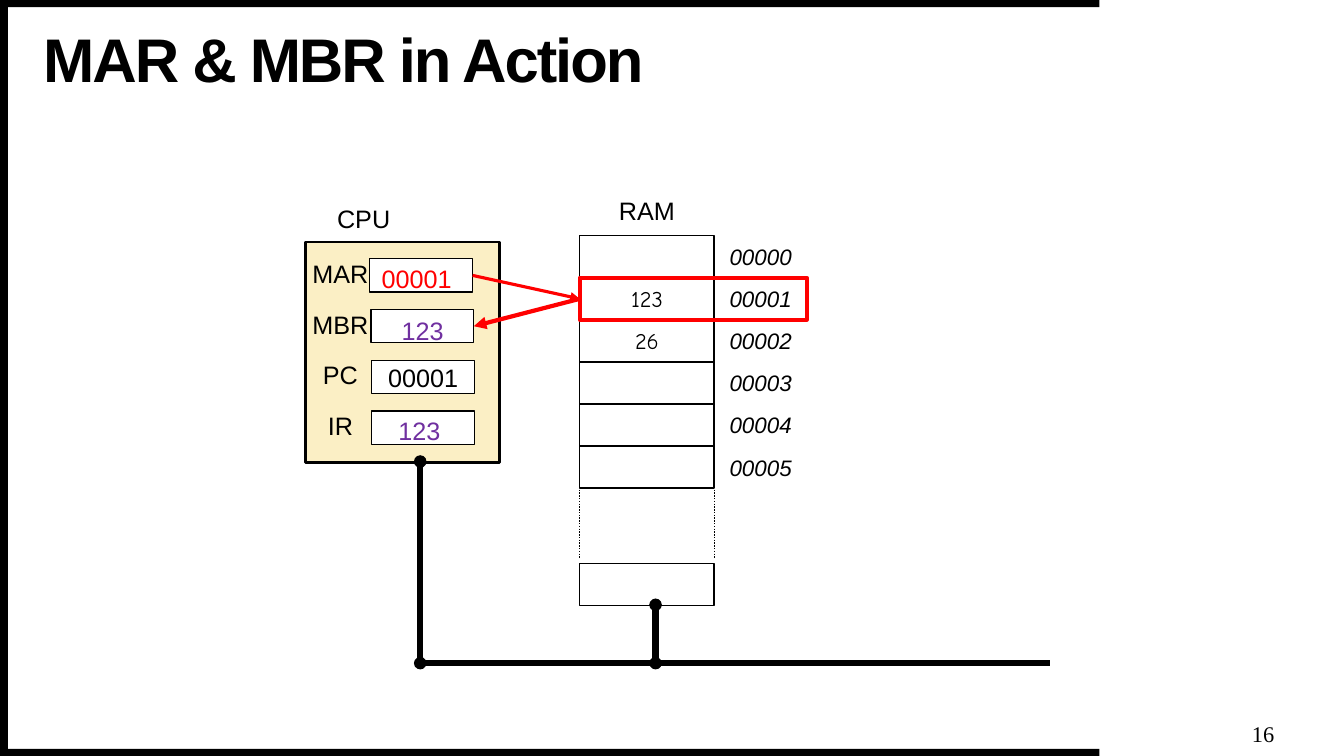
from pptx import Presentation
from pptx import util as u
from pptx.dml.color import RGBColor
from pptx.enum import dml, shapes, text
from pptx.oxml.ns import qn
from lxml import etree

BLACK, WHITE, RED, PURPLE = "000000", "FFFFFF", "FF0000", "7030A0"
CENTER, LEFT = text.PP_ALIGN.CENTER, text.PP_ALIGN.LEFT
MIDDLE, TOP = text.MSO_ANCHOR.MIDDLE, text.MSO_ANCHOR.TOP

presentation = Presentation()
presentation.slide_width, presentation.slide_height = u.Cm(33.87), u.Cm(19.05)
slide = presentation.slides.add_slide(presentation.slide_layouts[6])


def add_box(box, words="", size=18, color=BLACK, font="Arial", align=CENTER,
            anchor=MIDDLE, fill=None, line=None, width=1):
    """Add a rectangle if it has a fill or line, otherwise a text box; box is in cm."""
    place = [u.Cm(length) for length in box]
    if fill or line:
        shape = slide.shapes.add_shape(shapes.MSO_SHAPE.RECTANGLE, *place)
        shape.shadow.inherit = False
        if fill:
            shape.fill.solid()
            shape.fill.fore_color.rgb = RGBColor.from_string(fill)
        else:
            shape.fill.background()
        if line:
            shape.line.color.rgb = RGBColor.from_string(line)
            shape.line.width = u.Pt(width)
        else:
            shape.line.fill.background()
    else:
        shape = slide.shapes.add_textbox(*place)
    if words:
        frame = shape.text_frame
        frame.word_wrap = align == LEFT
        if align == CENTER:
            frame.margin_left = frame.margin_right = 0
        frame.vertical_anchor = anchor
        paragraph = frame.paragraphs[0]
        paragraph.text = words
        paragraph.alignment = align
        paragraph.font.name, paragraph.font.size = font, u.Pt(size)
        paragraph.font.color.rgb = RGBColor.from_string(color)
    return shape


def add_line(start, end, color=BLACK, width=1.0, head=None, tail=None, tip="med"):
    ends = [u.Cm(length) for length in (*start, *end)]
    connector = slide.shapes.add_connector(shapes.MSO_CONNECTOR.STRAIGHT, *ends)
    connector.line.color.rgb = RGBColor.from_string(color)
    connector.line.width = u.Pt(width)
    for tag, kind in (("a:headEnd", head), ("a:tailEnd", tail)):
        if kind:
            etree.SubElement(connector.line._get_or_add_ln(), qn(tag),
                             type=kind, w=tip, len=tip)
    etree.SubElement(connector._element.spPr, qn("a:effectLst"))
    return connector


# Frame bars, title and slide number
for bar in ((0, 18.87, 27.71, 0.18), (0, 0, 27.71, 0.18), (0, 0.08, 0.2, 18.97)):
    add_box(bar, fill=BLACK)

title = add_box((1.09, 0.64, 25.55, 1.88), "MAR & MBR in Action", 44, align=LEFT)
number = add_box((31.45, 18.11, 0.76, 0.76), "16", 16, font="Times New Roman")
for shape in (title, number):
    frame = shape.text_frame
    frame.margin_left = frame.margin_right = frame.margin_top = frame.margin_bottom = 0
heading = title.text_frame.paragraphs[0]
heading.font.bold = True
heading.line_spacing = 0.9
heading.runs[0]._r.get_or_add_rPr().set("spc", "-150")

# RAM
RAM_LEFT, RAM_TOP, CELL_WIDTH, CELL_HEIGHT = 14.61, 5.94, 3.39, 1.06
RAM_RIGHT = RAM_LEFT + CELL_WIDTH
add_box((RAM_LEFT, 4.67, CELL_WIDTH, 1.27), "RAM")
for row, content in enumerate(("", "123", "26", "", "", "")):
    top = RAM_TOP + row * CELL_HEIGHT
    add_box((RAM_LEFT, top, CELL_WIDTH, CELL_HEIGHT), content, 16,
            font="Comic Neue", fill=WHITE, line=BLACK)
    address = add_box((RAM_RIGHT, top, 2.34, CELL_HEIGHT), f"{row:05d}", 16)
    address.text_frame.paragraphs[0].font.italic = True
add_box((RAM_LEFT, 14.2, CELL_WIDTH, CELL_HEIGHT), fill=WHITE, line=BLACK)
for x in (RAM_LEFT, RAM_RIGHT):
    gap = add_line((x, 12.34), (x, 14.05))
    gap.line.dash_style = dml.MSO_LINE.ROUND_DOT
highlight = add_box((RAM_LEFT, RAM_TOP + CELL_HEIGHT, 5.72, CELL_HEIGHT),
                    line=RED, width=3)

# CPU and its registers
add_box((7.87, 5.08, 2.59, 0.84), "CPU")
add_box((7.7, 6.1, 4.88, 5.56), fill="FBEFC5", line=BLACK, width=2)
registers = {}
for row, (name, left, content) in enumerate((
        ("MAR", 9.32, ""), ("MBR", 9.35, ""), ("PC", 9.37, "00001"), ("IR", 9.37, ""))):
    top = 6.52 + row * 1.28
    add_box((7.73, top - 0.03, 1.7, 0.79), name)
    registers[name] = add_box((left, top, 2.59, 0.84), content, fill=WHITE, line=BLACK)

for left, top, value, color, align in ((9.37, 6.5, "00001", RED, LEFT),
                                       (9.4, 7.82, "123", PURPLE, CENTER),
                                       (9.32, 10.34, "123", PURPLE, CENTER)):
    add_box((left, top, 2.5, 1.02), value, color=color, align=align, anchor=TOP)

# Bus
BUS_Y, CPU_X, RAM_X = 16.71, 10.59, 16.52
add_line((CPU_X, BUS_Y), (26.47, BUS_Y), width=4.5)
for x, top in ((CPU_X, 11.63), (RAM_X, 15.24)):
    add_line((x, BUS_Y), (x, top), width=4.5, head="oval", tail="oval", tip="sm")

# Address goes out from MAR, data comes back to MBR
request = add_line((11.91, 6.94), (14.61, 7.53), RED, 2.25, tail="triangle")
request.begin_connect(registers["MAR"], 3)
request.end_connect(highlight, 1)
reply = add_line((14.61, 7.53), (11.94, 8.22), RED, 3, tail="triangle")
reply.begin_connect(highlight, 1)
reply.end_connect(registers["MBR"], 3)

presentation.save("out.pptx")
